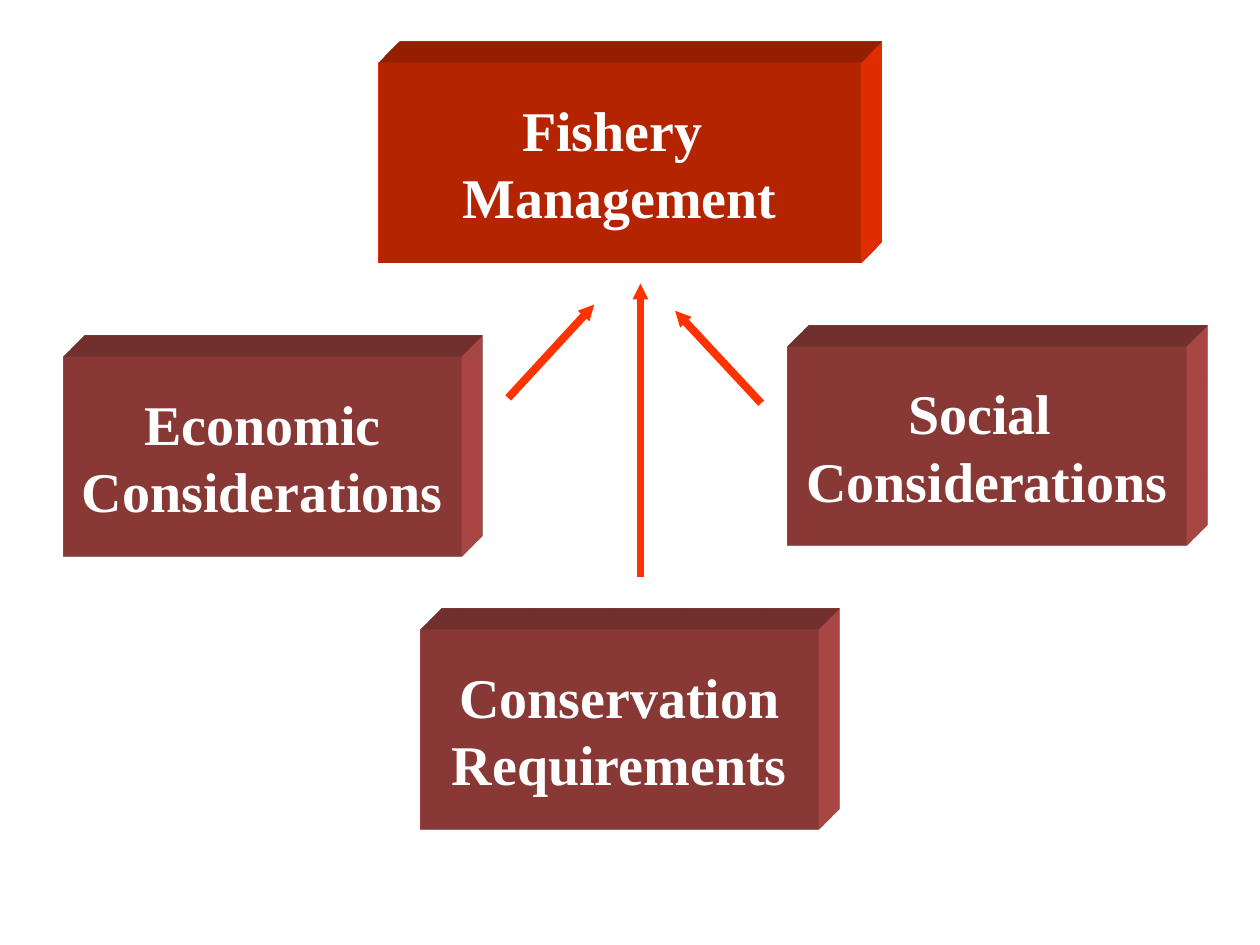
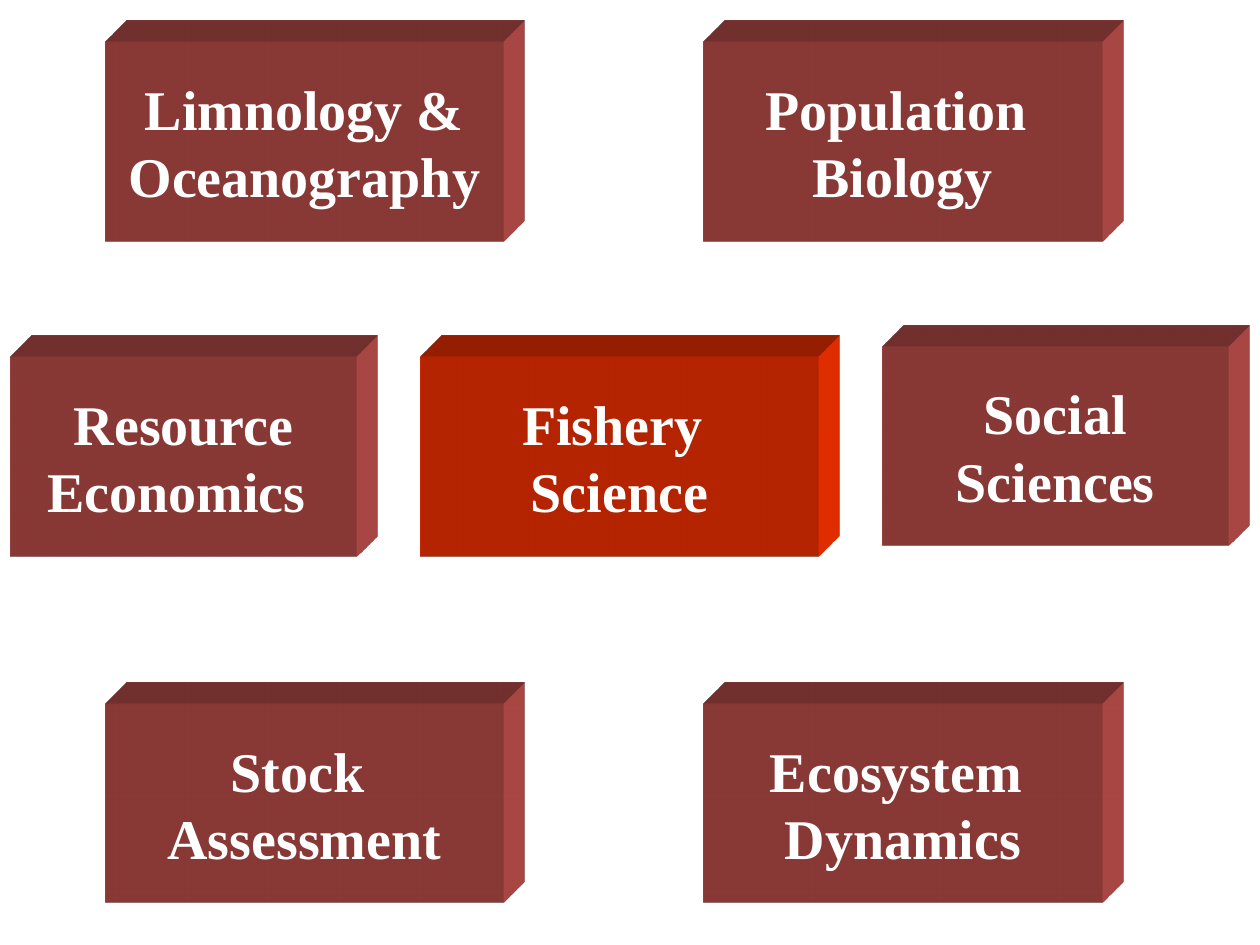
"""Two slides of extruded blocks: what fishery management and fishery science draw on."""
import lxml.etree
import pptx
import pptx.dml.color
import pptx.enum.shapes
import pptx.enum.text
import pptx.oxml
import pptx.oxml.ns
import pptx.util

COLOURS = {"core": "FF3300", "field": "C0504D", "label": "FFFFFF", "arrow": "FF3300"}
FONT = "Times New Roman"
BLOCK_HEIGHT = 19

deck = pptx.Presentation()
deck.slide_width = pptx.util.Inches(10)
deck.slide_height = pptx.util.Inches(7.5)
CELL = deck.slide_width / 120


def add_block(slide, role, column, row, columns, lines):
    block = slide.shapes.add_shape(
        pptx.enum.shapes.MSO_SHAPE.RECTANGLE,
        *(round(cells * CELL) for cells in (column, row, columns, BLOCK_HEIGHT)))
    block.shadow.inherit = False
    block.fill.solid()
    block.fill.fore_color.rgb = pptx.dml.color.RGBColor.from_string(COLOURS[role])
    block.line.fill.background()
    namespace = pptx.oxml.ns.nsdecls("a")
    for depth_xml in (
        f'<a:scene3d {namespace}><a:camera prst="legacyObliqueTopRight"/>'
        '<a:lightRig rig="legacyFlat3" dir="b"/></a:scene3d>',
        f'<a:sp3d {namespace} extrusionH="430200" prstMaterial="legacyMatte">'
        '<a:bevelT w="13500" h="13500" prst="angle"/><a:bevelB w="13500" h="13500" prst="angle"/>'
        f'<a:extrusionClr><a:srgbClr val="{COLOURS[role]}"/></a:extrusionClr></a:sp3d>',
    ):
        block._element.spPr.append(pptx.oxml.parse_xml(depth_xml))
    label = block.text_frame
    label.word_wrap = False
    label.vertical_anchor = pptx.enum.text.MSO_ANCHOR.MIDDLE
    label.text = "\n".join(lines)
    for paragraph in label.paragraphs:
        paragraph.alignment = pptx.enum.text.PP_ALIGN.CENTER
        paragraph.font.name = FONT
        paragraph.font.size = pptx.util.Pt(32)
        paragraph.font.bold = True
        paragraph.font.color.rgb = pptx.dml.color.RGBColor.from_string(COLOURS["label"])


management_blocks = [
    ("core", 36, 6, 46, ("Fishery ", "Management")),
    ("field", 6, 34, 38, ("Economic", "Considerations")),
    ("field", 40, 60, 38, ("Conservation", "Requirements")),
    ("field", 75, 33, 38, ("Social ", "Considerations")),
]
science_blocks = [
    ("core", 40, 34, 38, ("Fishery ", "Science")),
    ("field", 10, 4, 38, ("Limnology &", "Oceanography")),
    ("field", 10, 67, 38, ("Stock ", "Assessment")),
    ("field", 67, 4, 38, ("Population ", "Biology")),
    ("field", 67, 67, 38, ("Ecosystem ", "Dynamics")),
    ("field", 1, 34, 33, ("Resource", "Economics ")),
    ("field", 84, 33, 33, ("Social", "Sciences")),
]
influences = [
    (61, 55, 61, 27),
    (48.4, 37.9, 56.6, 29),
    (72.5, 38.4, 64.3, 29.6),
]

blank_layout = deck.slide_layouts[6]
management = deck.slides.add_slide(blank_layout)
science = deck.slides.add_slide(blank_layout)
for slide, blocks in ((management, management_blocks), (science, science_blocks)):
    for block in blocks:
        add_block(slide, *block)

for ends in influences:
    influence = management.shapes.add_connector(
        pptx.enum.shapes.MSO_CONNECTOR.STRAIGHT, *(round(cells * CELL) for cells in ends))
    influence.line.width = pptx.util.Pt(4.5)
    influence.line.color.rgb = pptx.dml.color.RGBColor.from_string(COLOURS["arrow"])
    lxml.etree.SubElement(influence.line._get_or_add_ln(), pptx.oxml.ns.qn("a:tailEnd"),
                          type="triangle", w="sm", len="sm")
    lxml.etree.SubElement(influence._element.spPr, pptx.oxml.ns.qn("a:effectLst"))

deck.save("out.pptx")
